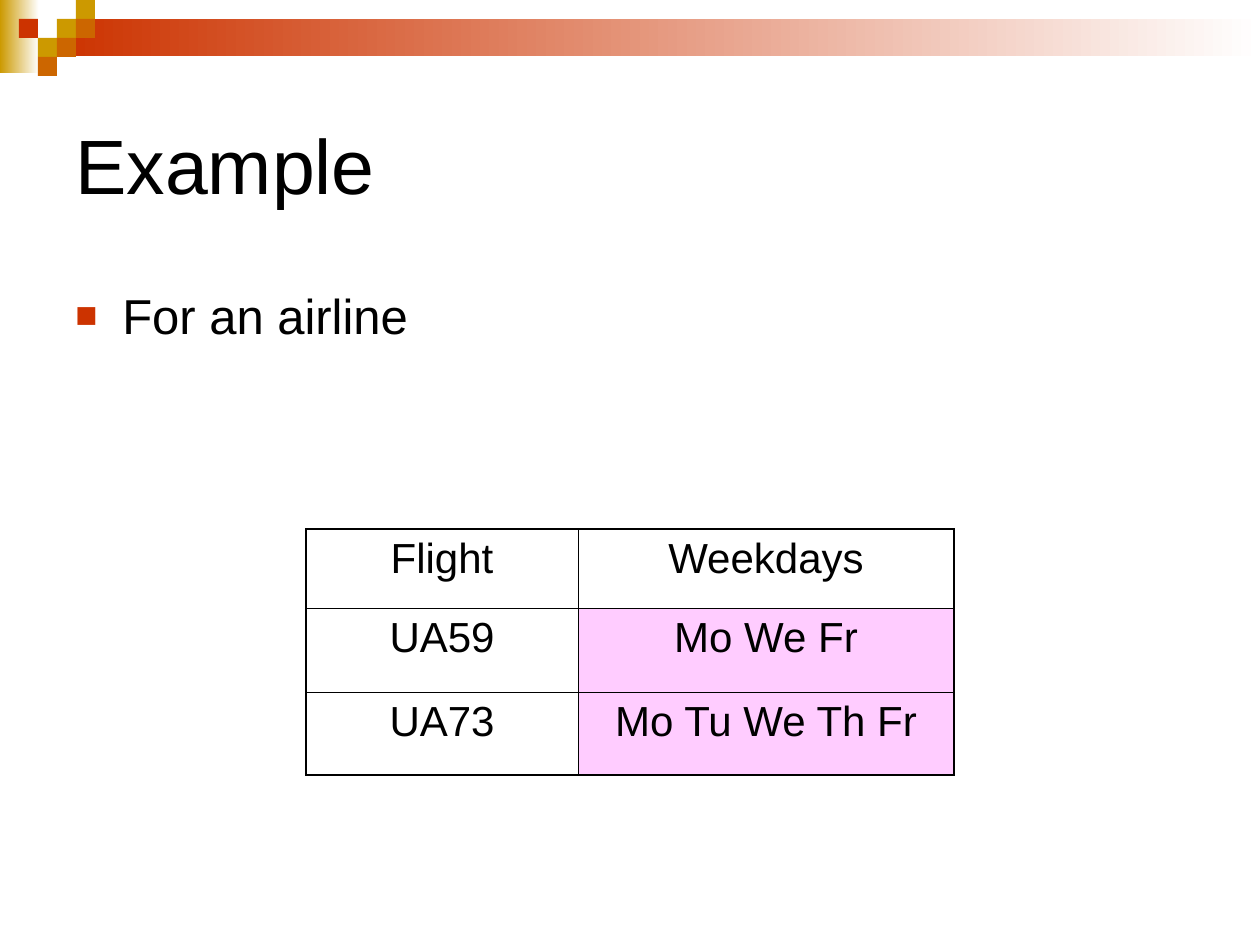
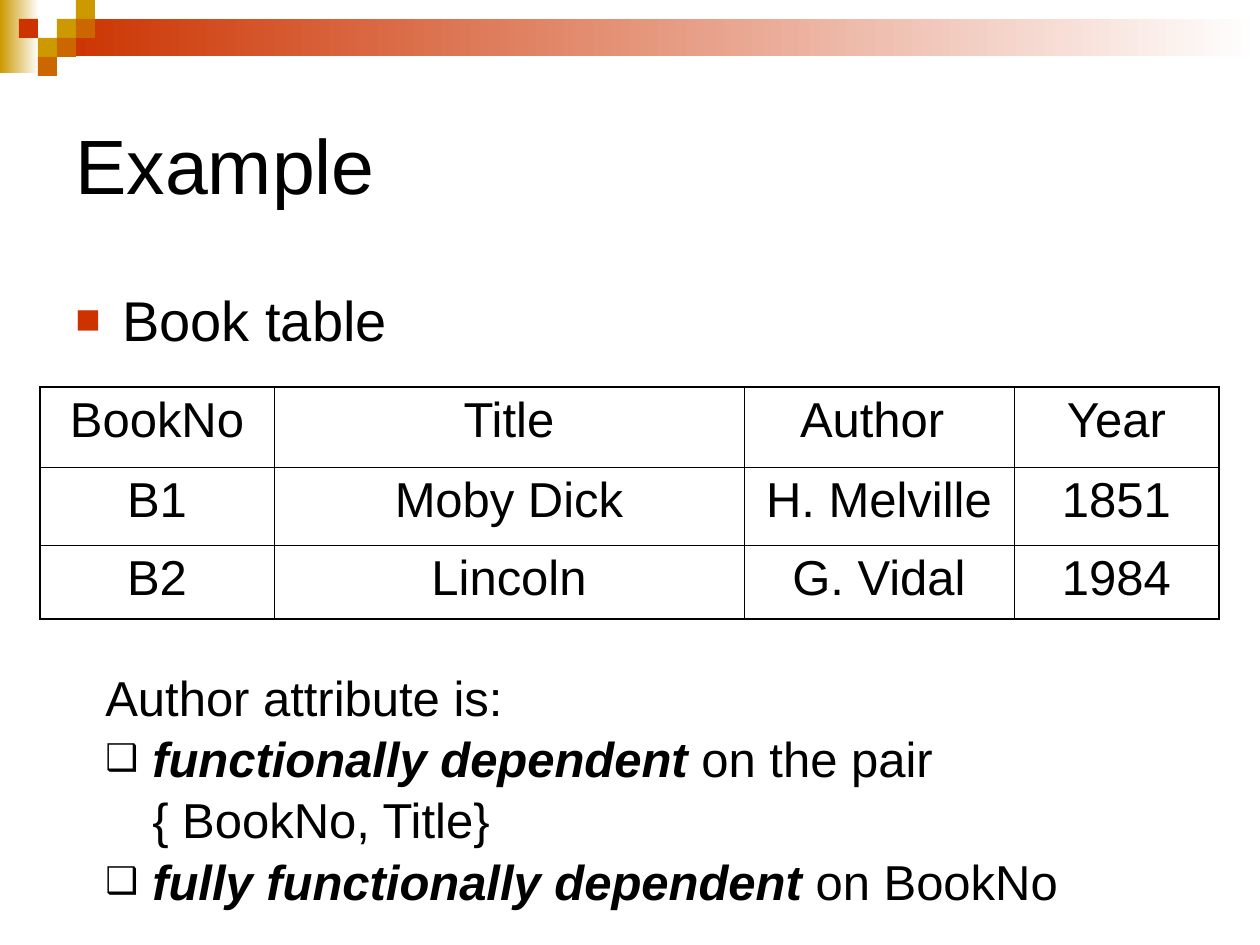
"""Build two example slides about attributes and functional dependency."""
from dataclasses import dataclass

from lxml.etree import SubElement
from pptx import Presentation
from pptx.dml.color import RGBColor
from pptx.enum.shapes import MSO_SHAPE
from pptx.enum.text import MSO_ANCHOR, PP_ALIGN
from pptx.oxml.ns import qn
from pptx.util import Emu, Pt


@dataclass(frozen=True)
class Theme:
    font: str = "Arial"
    ink: str = "000000"
    paper: str = "FFFFFF"
    red: str = "CC3300"
    gold: str = "CC9900"
    orange: str = "CC6600"
    pink: str = "FFCCFF"
    title_size: int = 44
    book_size: int = 32
    text_size: int = 28
    flight_size: int = 24
    outer_line: float = 1.08
    inner_line: float = 0.45
    bullet_percent: int = 75


THEME = Theme()
EMU_PER_PX = 914400 / 126
SLIDE_SIZE = (1260, 945)
SQUARE = 19
HANGING = 47

BANDS = [
    ((0, 0, 39, 73), THEME.gold),
    ((57, 19, 1203, 37), THEME.red),
]
SQUARES = [
    (3, 1, THEME.gold),
    (4, 0, THEME.gold),
    (4, 1, THEME.orange),
    (2, 2, THEME.gold),
    (1, 1, THEME.red),
    (3, 2, THEME.orange),
    (2, 3, THEME.orange),
]
TITLE_BOX = (63, 69, 1134, 189)
BODY_BOX = (63, 279, 1134, 530)
NOTES_BOX = (93, 659, 995, 248)
EMPHASIS = {"bold": True, "italic": True}

SLIDES = [
    {
        "title": "Example",
        "body": "For an airline",
        "body_size": THEME.text_size,
        "table": {
            "origin": (306, 529),
            "columns": [272, 376],
            "rows": [79, 84, 83],
            "size": THEME.flight_size,
            "cells": [
                ["Flight", "Weekdays"],
                ["UA59", "Mo We Fr"],
                ["UA73", "Mo Tu We Th Fr"],
            ],
            "shaded": {(1, 1), (2, 1)},
        },
        "notes": [],
    },
    {
        "title": "Example",
        "body": "Book table",
        "body_size": THEME.book_size,
        "table": {
            "origin": (40, 387),
            "columns": [234, 470, 270, 205],
            "rows": [80, 78, 74],
            "size": THEME.text_size,
            "cells": [
                ["BookNo", "Title", "Author ", "Year"],
                ["B1", "Moby Dick", "H. Melville", "1851"],
                ["B2", "Lincoln", "G. Vidal", "1984"],
            ],
            "shaded": set(),
        },
        "notes": [
            (None, [("Author attribute is:", {})]),
            ("❑", [("functionally dependent", EMPHASIS),
                   (" on the pair\n{ BookNo, Title}", {})]),
            ("❑", [("fully functionally dependent", EMPHASIS),
                   (" on BookNo", {})]),
        ],
    },
]


def px(*lengths):
    return [Emu(round(length * EMU_PER_PX)) for length in lengths]


def apply_format(target, values):
    for name, value in values.items():
        setattr(target, name, value)


def add_rectangle(slide, box, color, fades=False):
    shape = slide.shapes.add_shape(MSO_SHAPE.RECTANGLE, *px(*box))
    shape.shadow.inherit = False
    shape.line.fill.background()
    if fades:
        shape.fill.gradient()
        shape.fill.gradient_angle = 0
        for stop, stop_color in zip(shape.fill.gradient_stops, (color, THEME.paper)):
            stop.color.rgb = RGBColor.from_string(stop_color)
    else:
        shape.fill.solid()
        shape.fill.fore_color.rgb = RGBColor.from_string(color)


def add_runs(paragraph, runs, size):
    for text, style in runs:
        for index, line in enumerate(text.split("\n")):
            if index:
                paragraph.add_line_break()
            run = paragraph.add_run()
            run.text = line
            apply_format(run.font, {"name": THEME.font, "size": Pt(size), **style})
            run.font.color.rgb = RGBColor.from_string(THEME.ink)


def add_bullet(paragraph, character, color):
    properties = paragraph._p.get_or_add_pPr()
    indent = px(HANGING)[0]
    properties.set("marL", str(indent))
    properties.set("indent", str(-indent))
    bullet_color = SubElement(properties, qn("a:buClr"))
    SubElement(bullet_color, qn("a:srgbClr"), val=color)
    SubElement(properties, qn("a:buSzPct"), val=str(THEME.bullet_percent * 1000))
    SubElement(properties, qn("a:buFont"), typeface=THEME.font)
    SubElement(properties, qn("a:buChar"), char=character)


def add_text(slide, box, paragraphs, size, bullet_color=THEME.ink,
             anchor=MSO_ANCHOR.TOP, spacing=1.0):
    frame = slide.shapes.add_textbox(*px(*box)).text_frame
    apply_format(frame, {"word_wrap": True, "vertical_anchor": anchor})
    for index, (bullet, runs) in enumerate(paragraphs):
        paragraph = frame.add_paragraph() if index else frame.paragraphs[0]
        paragraph.line_spacing = spacing
        if bullet:
            add_bullet(paragraph, bullet, bullet_color)
        add_runs(paragraph, runs, size)


def add_borders(cell, outer_sides):
    properties = cell._tc.get_or_add_tcPr()
    for side, is_outer in outer_sides.items():
        width = THEME.outer_line if is_outer else THEME.inner_line
        line = SubElement(properties, qn(f"a:ln{side}"), w=str(Pt(width)))
        fill = SubElement(line, qn("a:solidFill"))
        SubElement(fill, qn("a:srgbClr"), val=THEME.ink)


def add_grid(slide, grid):
    columns, rows = grid["columns"], grid["rows"]
    box = (*grid["origin"], sum(columns), sum(rows))
    table = slide.shapes.add_table(len(rows), len(columns), *px(*box)).table
    apply_format(table, {"first_row": False, "horz_banding": False})
    for column, width in zip(table.columns, px(*columns)):
        column.width = width
    for row, height in zip(table.rows, px(*rows)):
        row.height = height
    for row_index, texts in enumerate(grid["cells"]):
        for column_index, text in enumerate(texts):
            cell = table.cell(row_index, column_index)
            add_borders(cell, {
                "L": column_index == 0,
                "R": column_index == len(columns) - 1,
                "T": row_index == 0,
                "B": row_index == len(rows) - 1,
            })
            if (row_index, column_index) in grid["shaded"]:
                cell.fill.solid()
                cell.fill.fore_color.rgb = RGBColor.from_string(THEME.pink)
            else:
                cell.fill.background()
            paragraph = cell.text_frame.paragraphs[0]
            paragraph.alignment = PP_ALIGN.CENTER
            add_runs(paragraph, [(text, {})], grid["size"])


def add_decoration(slide):
    for box, color in BANDS:
        add_rectangle(slide, box, color, fades=True)
    for column, row, color in SQUARES:
        add_rectangle(slide, (column * SQUARE, row * SQUARE, SQUARE, SQUARE), color)


def add_slide(presentation, content):
    slide = presentation.slides.add_slide(presentation.slide_layouts[6])
    add_decoration(slide)
    add_text(slide, TITLE_BOX, [(None, [(content["title"], {})])],
             THEME.title_size, anchor=MSO_ANCHOR.MIDDLE)
    add_text(slide, BODY_BOX, [("■", [(content["body"], {})])],
             content["body_size"], bullet_color=THEME.red)
    add_grid(slide, content["table"])
    if content["notes"]:
        add_text(slide, NOTES_BOX, content["notes"], THEME.text_size, spacing=1.04)


def main():
    presentation = Presentation()
    presentation.slide_width, presentation.slide_height = px(*SLIDE_SIZE)
    for content in SLIDES:
        add_slide(presentation, content)
    presentation.save("out.pptx")


if __name__ == "__main__":
    main()
